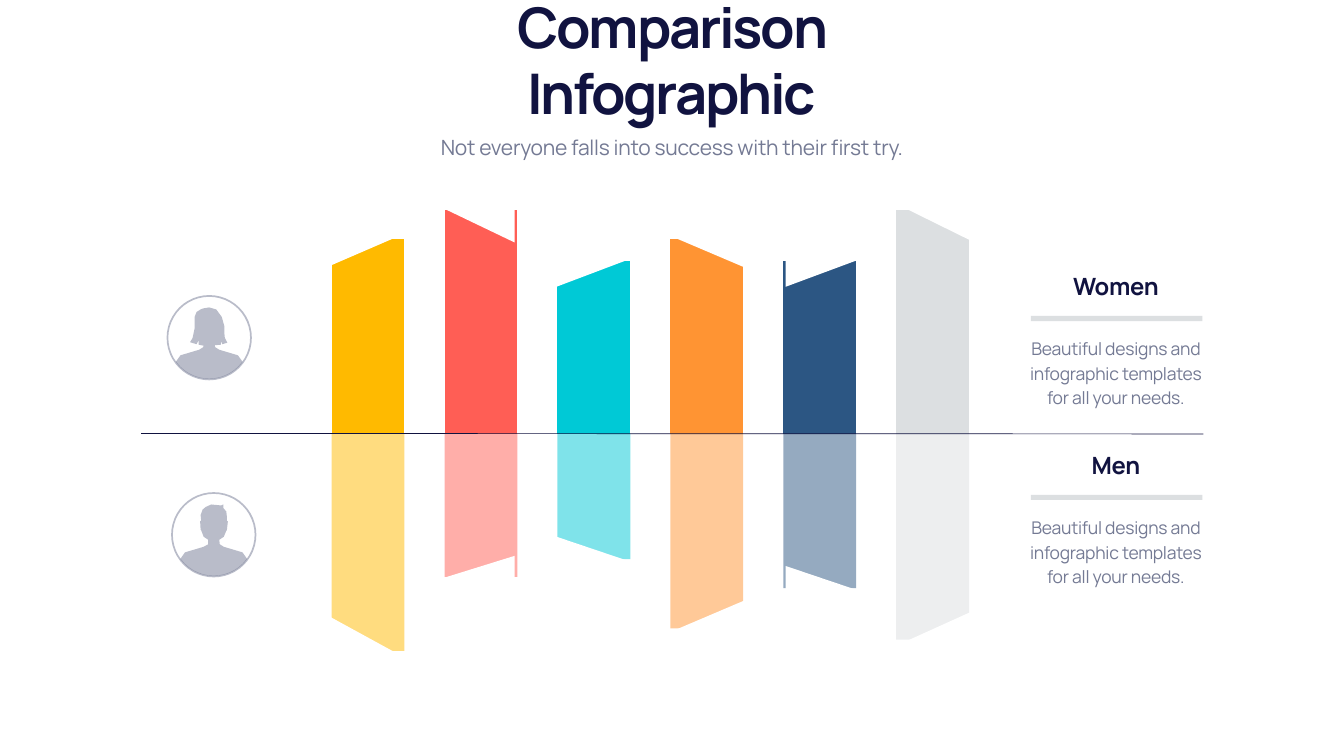
from math import cos, radians, sin

from lxml import etree
from pptx import Presentation
from pptx.chart.data import CategoryChartData
from pptx.dml.color import RGBColor
from pptx.enum.chart import XL_CHART_TYPE
from pptx.enum.shapes import MSO_CONNECTOR, MSO_SHAPE
from pptx.enum.text import MSO_ANCHOR, PP_ALIGN
from pptx.oxml.ns import qn
from pptx.util import Inches, Pt

STACK = XL_CHART_TYPE.COLUMN_STACKED
RECT, DONUT = MSO_SHAPE.RECTANGLE, MSO_SHAPE.DONUT
NAVY = RGBColor(0x11, 0x13, 0x40)
SLATE = RGBColor(0x74, 0x7A, 0x94)
WHITE = RGBColor(0xFF, 0xFF, 0xFF)
GOLD = RGBColor(0xFF, 0xBA, 0x00)
CORAL = RGBColor(0xFF, 0x5E, 0x55)
TEAL = RGBColor(0x00, 0xC9, 0xD6)
ORANGE = RGBColor(0xFF, 0x94, 0x33)
BLUE = RGBColor(0x2C, 0x56, 0x83)
GREY = RGBColor(0xDC, 0xDF, 0xE1)
HUES = [GOLD, CORAL, TEAL, ORANGE, BLUE, GREY]

deck = Presentation()
deck.slide_width, deck.slide_height = Inches(26.66), Inches(15)
slide = deck.slides.add_slide(deck.slide_layouts[5])
shapes = slide.shapes


def paint(fill, color, alpha=100):
    fill.solid()
    fill.fore_color.rgb = color
    if alpha < 100:
        tint = fill._xPr.find(qn("a:solidFill"))[0]
        etree.SubElement(tint, qn("a:alpha"), val=str(alpha * 1000))


def write(box, place, text, size, color, bold, lead, track):
    box.left, box.top, box.width, box.height = map(Inches, place)
    frame = box.text_frame
    frame.word_wrap = True
    frame.text = text
    para = frame.paragraphs[0]
    para.alignment = PP_ALIGN.CENTER
    para.line_spacing = Pt(lead)
    run = para.runs[0]
    look = {"name": "Manrope", "size": Pt(size), "bold": bold}
    for key, value in look.items():
        setattr(run.font, key, value)
    run.font.color.rgb = color
    run._r.get_or_add_rPr().set("spc", str(track))


# Title and subtitle
write(shapes.title, (7.26, 1.13, 12.13, 1.42), "Comparison Infographic",
      80, NAVY, True, 94, -330)
shapes.title.text_frame.vertical_anchor = MSO_ANCHOR.BOTTOM
write(shapes.add_textbox(0, 0, 0, 0), (8.38, 2.53, 9.9, 0.64),
      "Not everyone falls into success with their first try.",
      30, SLATE, False, 42, -30)

# Stacked columns, women above and men below
data = CategoryChartData()
data.categories = ["1", "2", "3", "4", "5", "6"]
data.add_series("Series 1", [87, 100, 77, 87, 77, 100])
data.add_series("Series 2", [-97, -64, -56, -87, -69, -92])
chart = shapes.add_chart(STACK, Inches(5.9), Inches(2.68), Inches(14),
                         Inches(11.85), data).chart
chart.has_legend = chart.has_title = False
chart.font.name, chart.font.size = "Calibri", Pt(10)
chart.font.color.rgb = SLATE
scale = {"minimum_scale": -128, "maximum_scale": 128, "major_unit": 26,
         "has_major_gridlines": False, "visible": False}
for key, value in scale.items():
    setattr(chart.value_axis, key, value)
chart.category_axis.visible = False
plot = chart.plots[0]
plot.gap_width, plot.overlap, plot.vary_by_categories = 55, 100, False
for row, alpha in zip(plot.series, (100, 50)):
    row.invert_if_negative = False
    paint(row.format.fill, BLUE if alpha == 100 else CORAL)
    for col, hue in enumerate(HUES):
        paint(row.points[col].format.fill, hue, alpha)

# White wedges that slant the column ends, as (top, bottom) per column
UPPER = [(4.68, 5.32), (4.1, 4.81), (5.14, 5.7),
         (4.68, 5.31), (5.14, 5.69), (4.09, 4.82)]
LOWER = [(12.18, 12.99), (11.03, 11.49), (10.64, 11.14),
         (11.91, 12.54), (11.23, 11.73), (12.1, 12.77)]
for ends, above in ((LOWER, False), (UPPER, True)):
    for col, (top, low) in enumerate(ends):
        left = 6.44 + 2.286 * col
        right = left + 1.48
        flat, tip = (top, low) if above else (low, top)
        side = right if col % 2 else left
        pen = shapes.build_freeform(Inches(left), Inches(flat), scale=1.0)
        pen.add_line_segments([(Inches(right), Inches(flat)),
                               (Inches(side), Inches(tip))])
        wedge = pen.convert_to_shape()
        wedge.shadow.inherit = False
        paint(wedge.fill, WHITE)
        wedge.line.fill.background()

# Avatars: a ring and a bust outlined from its centre
WOMAN = [(.57, .35), (.2, .24), (.12, .19), (.11, .15), (.23, .14),
         (.23, .06), (.26, .13), (.36, .1), (.31, 0), (.3, -.1),
         (.3, -.23), (.25, -.41), (.14, -.56), (0, -.6), (-.12, -.58),
         (-.17, -.56), (-.25, -.51), (-.29, -.41), (-.29, -.18),
         (-.33, .01), (-.38, .09), (-.25, .13), (-.21, .05),
         (-.21, .14), (-.11, .16), (-.12, .19), (-.2, .24), (-.57, .35)]
MAN = [(.57, .35), (.2, .24), (.12, .19), (.11, .1), (.2, .04),
       (.25, -.08), (.26, -.09), (.28, -.26), (.26, -.28), (.26, -.36),
       (.25, -.46), (.19, -.53), (.19, -.6), (.15, -.58), (.05, -.59),
       (-.05, -.6), (-.16, -.55), (-.22, -.5), (-.26, -.39),
       (-.25, -.28), (-.27, -.27), (-.26, -.1), (-.25, -.09),
       (-.2, .04), (-.11, .1), (-.11, .19), (-.2, .24), (-.57, .35)]
RIM = [(.82 * cos(radians(deg)), .82 * sin(radians(deg)))
       for deg in range(144, 35, -4)]
for midx, midy, bust in ((4.15, 6.7, WOMAN), (4.24, 10.61, MAN)):
    ring = shapes.add_shape(DONUT, Inches(midx - .845), Inches(midy - .845),
                            Inches(1.69), Inches(1.69))
    ring.adjustments[0] = 0.02
    dots = [(Inches(midx + x), Inches(midy + y)) for x, y in bust + RIM]
    pen = shapes.build_freeform(*dots[0], scale=1.0)
    pen.add_line_segments(dots[1:])
    for part in (ring, pen.convert_to_shape()):
        part.shadow.inherit = False
        paint(part.fill, SLATE, 50)
        part.line.fill.background()

# Middle line
axis = shapes.add_connector(MSO_CONNECTOR.STRAIGHT, Inches(2.8), Inches(8.6),
                            Inches(23.87), Inches(8.61))
axis.line.color.rgb, axis.line.width = NAVY, Pt(1)
etree.SubElement(axis._element.spPr, qn("a:effectLst"))

# Captions with rules
NOTE = "Beautiful designs and infographic templates for all your needs."
for name, top in (("Women", 5.42), ("Men", 8.97)):
    rule = shapes.add_shape(RECT, Inches(20.45), Inches(top + .85),
                            Inches(3.4), Inches(.1))
    rule.shadow.inherit = False
    paint(rule.fill, GREY)
    rule.line.fill.background()
    write(shapes.add_textbox(0, 0, 0, 0), (20.32, top, 3.63, .59),
          name, 34, NAVY, True, 35, -30)
    write(shapes.add_textbox(0, 0, 0, 0), (20.32, top + 1.17, 3.63, 1.53),
          NOTE, 25, SLATE, False, 35, -30)

deck.save("out.pptx")
